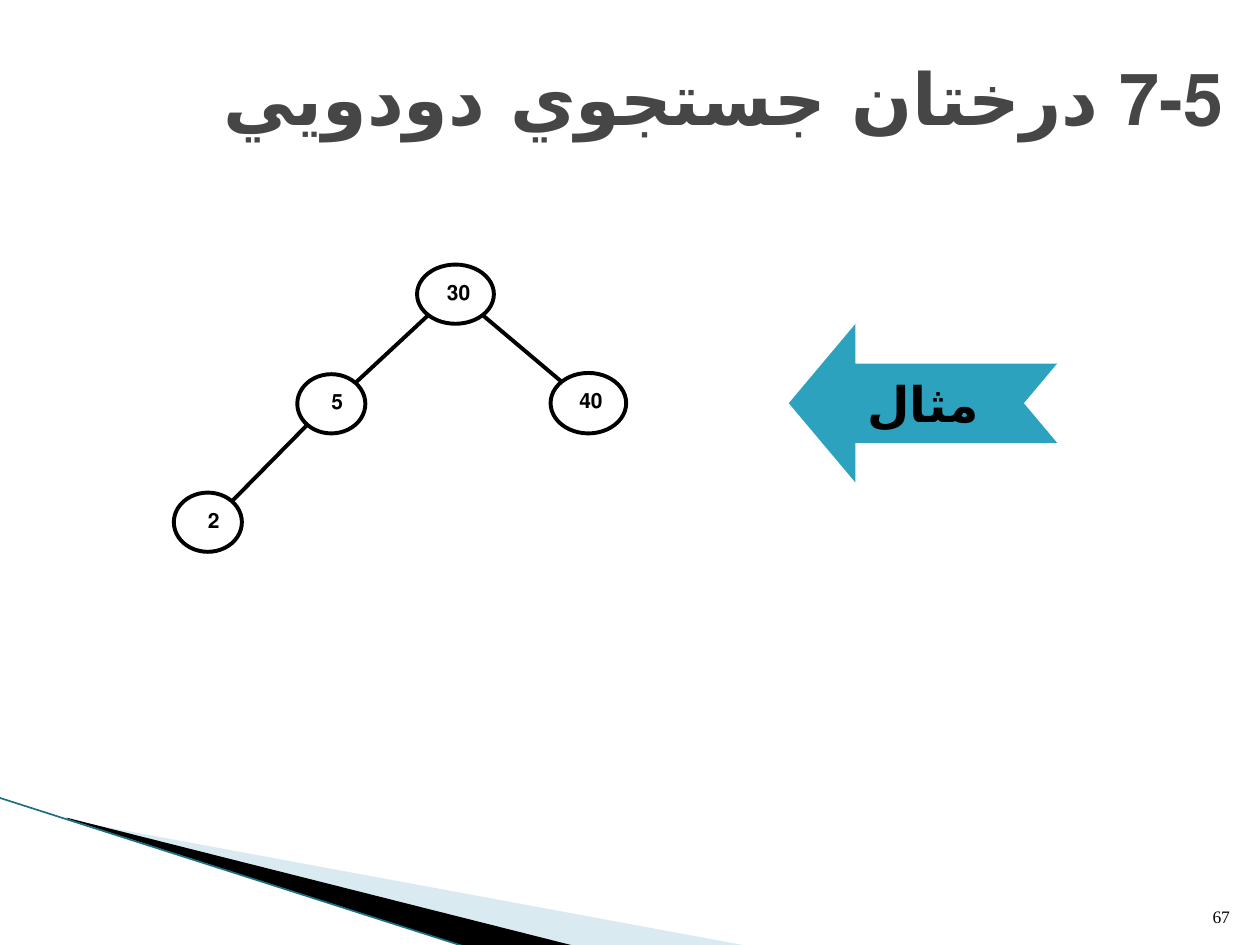
from lxml.etree import SubElement
from pptx import Presentation
from pptx.dml.color import RGBColor
from pptx.enum.shapes import MSO_CONNECTOR as Link, MSO_SHAPE as Kind
from pptx.enum.text import MSO_ANCHOR as Anchor, PP_ALIGN as Align
from pptx.oxml.ns import qn
from pptx.util import Inches, Pt

BLACK = RGBColor(0, 0, 0)
WHITE = RGBColor(255, 255, 255)
GREY = RGBColor(0x46, 0x46, 0x46)
TEAL = RGBColor(0x2D, 0xA2, 0xBF)
DEEP = RGBColor(0x1B, 0x70, 0x85)
PALE = RGBColor(0xA0, 0xCB, 0xDC)
SERIF, MONO = "Times New Roman", "Noto Sans Mono"
DIGIT, ARABIC = "Helvetica", "DejaVu Sans"

TITLE = [("7-5 ", DIGIT), ("درختان جستجوي دودويي", ARABIC)]
NODES = {
    "30": (3.31, 2.10, 0.61, 0.47),
    "40": (4.37, 2.96, 0.60, 0.48),
    "5": (2.36, 2.97, 0.54, 0.47),
    "2": (1.38, 3.91, 0.54, 0.47),
}
EDGES = [("30", "5", "left"), ("30", "40", "right"), ("5", "2", "left")]
WEDGES = [
    ([(0.55, 6.51), (5.95, 7.51), (4.56, 7.51), (0.55, 6.5)], PALE, 40),
    ([(0.53, 6.49), (4.57, 7.51), (3.72, 7.52), (0.54, 6.5)], BLACK, 100),
]
NEAR, FAR = 0.15, 0.85

deck = Presentation()
deck.slide_width, deck.slide_height = Inches(10), Inches(7.5)
slide = deck.slides.add_slide(deck.slide_layouts[6])
shapes = slide.shapes


def write(shape, parts, size, color=BLACK, bold=True, font=SERIF,
          align=Align.RIGHT, anchor=Anchor.TOP, wrap=True):
    frame = shape.text_frame
    frame.word_wrap = wrap
    frame.vertical_anchor = anchor
    para = frame.paragraphs[0]
    para.alignment = align
    para._p.get_or_add_pPr().set("rtl", "1")
    for text, script in parts:
        run = para.add_run()
        run.text = text
        run.font.size, run.font.bold, run.font.name = Pt(size), bold, font
        run.font.color.rgb = color
        SubElement(run._r.get_or_add_rPr(), qn("a:cs"), typeface=script)


def box(place):
    return shapes.add_textbox(*map(Inches, place))


def paint(shape, color, edge=None):
    shape.shadow.inherit = False
    shape.fill.solid()
    shape.fill.fore_color.rgb = color
    if edge is None:
        shape.line.fill.background()
    else:
        shape.line.color.rgb, shape.line.width = edge, Pt(2.25)
    return shape


def join(start, end, color, width):
    line = shapes.add_connector(Link.STRAIGHT, *map(Inches, start + end))
    line.line.color.rgb, line.line.width = color, Pt(width)
    SubElement(line._element.spPr, qn("a:effectLst"))


def spot(name, across, down):
    left, top, wide, high = NODES[name]
    return left + across * wide, top + down * high


for points, color, alpha in WEDGES:
    dots = [(Inches(x), Inches(y)) for x, y in points]
    pen = shapes.build_freeform(*dots[0])
    pen.add_line_segments(dots[1:])
    wedge = paint(pen.convert_to_shape(), color)
    if alpha < 100:
        tint = wedge._element.spPr.find(".//" + qn("a:srgbClr"))
        SubElement(tint, qn("a:alpha"), val=str(alpha * 1000))
join((-0.01, 6.33), (3.71, 7.52), DEEP, 0.95)

write(box((0.2, 0.3, 9.61, 0.93)), TITLE, 41, color=GREY, font=MONO,
      anchor=Anchor.MIDDLE)

for label, place in NODES.items():
    node = shapes.add_shape(Kind.OVAL, *map(Inches, place))
    write(paint(node, WHITE, BLACK), [(label, DIGIT)], 12)
for parent, child, side in EDGES:
    out, back = (NEAR, FAR) if side == "left" else (FAR, NEAR)
    join(spot(parent, out, FAR), spot(child, back, NEAR), BLACK, 2.25)

arrow = shapes.add_shape(Kind.NOTCHED_RIGHT_ARROW,
                         *map(Inches, (6.26, 2.57, 2.13, 1.26)))
arrow.adjustments[0], arrow.adjustments[1] = 0.5, 0.42
arrow.rotation = 180
write(paint(arrow, TEAL), [("مثال", ARABIC)], 28, align=Align.CENTER,
      anchor=Anchor.MIDDLE, wrap=False)
arrow.text_frame._txBody.bodyPr.set("rot", "10800000")

write(box((9.46, 7.01, 0.4, 0.4)), [("67", SERIF)], 10, bold=False,
      anchor=Anchor.BOTTOM)

deck.save("out.pptx")
